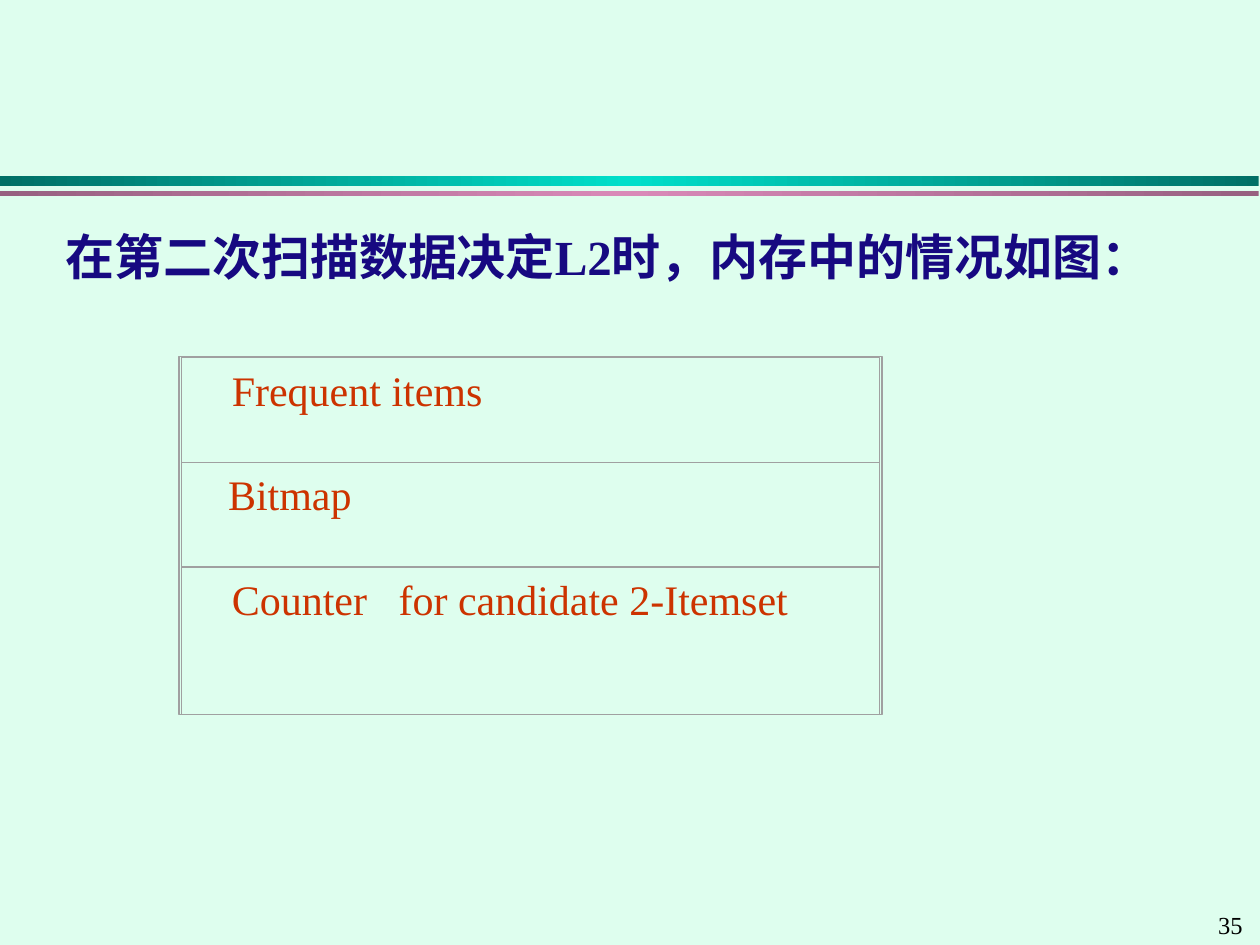
from copy import deepcopy
from dataclasses import dataclass

from pptx import Presentation
from pptx.dml.color import RGBColor
from pptx.enum import shapes, text
from pptx.oxml import ns, xmlchemy
from pptx.util import Inches, Pt


@dataclass(frozen=True)
class Theme:
    """Colours, font and type sizes of the slide."""
    font: str = "Times New Roman"
    background: RGBColor = RGBColor(0xDE, 0xFE, 0xEE)
    teal: tuple = (RGBColor(0x00, 0x6F, 0x65), RGBColor(0x00, 0xDF, 0xCA))
    pink: tuple = (RGBColor(0x97, 0x60, 0x80), RGBColor(0xD9, 0x89, 0xB8))
    heading: RGBColor = RGBColor(0x17, 0x09, 0x81)
    label: RGBColor = RGBColor(0xCC, 0x33, 0x00)
    border: RGBColor = RGBColor(0xA0, 0xA0, 0xA0)
    number: RGBColor = RGBColor(0, 0, 0)
    heading_size: Pt = Pt(28)
    label_size: Pt = Pt(24)
    number_size: Pt = Pt(14)


THEME = Theme()
MEMORY_ROWS = [
    ("Frequent items", 0.83, 0.4),
    ("Bitmap", 0.83, 0.37),
    ("Counter   for candidate 2-Itemset", 1.17, 0.4),
]


def style(paragraph, size, color, bold=False):
    """Set the font of a paragraph."""
    font = paragraph.font
    font.name, font.size, font.bold = THEME.font, size, bold
    font.color.rgb = color


def add_box(slide, left, top, width, height):
    """Add a rectangle without shadow, with lengths in inches."""
    box = slide.shapes.add_shape(
        shapes.MSO_SHAPE.RECTANGLE, Inches(left), Inches(top), Inches(width), Inches(height))
    box.shadow.inherit = False
    return box


def add_band(slide, left, top, width, height, colors):
    """Draw a bar that runs from an edge colour to a middle colour and back."""
    band = add_box(slide, left, top, width, height)
    band.line.fill.background()
    band.fill.gradient()
    band.fill.gradient_angle = 0
    stop_list = next(band._element.iter(ns.qn("a:gsLst")))
    stop_list.append(deepcopy(stop_list[0]))
    edge, middle = colors
    for stop, color, position in zip(band.fill.gradient_stops, (edge, middle, edge), (0, 0.5, 1)):
        stop.color.rgb, stop.position = color, position


def add_heading(slide, left, top, width, height):
    """Place the sentence in the body placeholder."""
    body = slide.placeholders[1]
    body.left, body.top, body.width, body.height = map(Inches, (left, top, width, height))
    sentence = body.text_frame.paragraphs[0]
    sentence.text = "在第二次扫描数据决定L2时，内存中的情况如图："
    sentence.alignment = text.PP_ALIGN.JUSTIFY
    sentence.space_before = Pt(7)
    style(sentence, THEME.heading_size, THEME.heading, bold=True)
    properties = sentence._p.get_or_add_pPr()
    properties.set("marL", str(Inches(0.38)))
    properties.set("indent", str(-Inches(0.38)))
    properties.insert_element_before(
        xmlchemy.OxmlElement("a:buNone"), "a:tabLst", "a:defRPr", "a:extLst")


def outline(box, width):
    """Give a box a grey border and no fill."""
    box.fill.background()
    box.line.color.rgb, box.line.width = THEME.border, width


def add_memory_map(slide, left, top, width, rows):
    """Stack the memory regions inside an outer frame."""
    row_top = top
    for label, height, inset in rows:
        region = add_box(slide, left, row_top, width, height)
        outline(region, Pt(0))
        frame = region.text_frame
        frame.word_wrap = True
        frame.vertical_anchor = text.MSO_ANCHOR.TOP
        frame.margin_left = Inches(inset)
        caption = frame.paragraphs[0]
        caption.text = label
        caption.alignment = text.PP_ALIGN.JUSTIFY
        style(caption, THEME.label_size, THEME.label)
        row_top += height
    border = add_box(slide, left - 0.02, top - 0.01, width + 0.04, row_top - top + 0.01)
    outline(border, Pt(0.88))


def add_page_number(slide, left, top, width, height):
    """Write the page number in the corner."""
    corner = slide.shapes.add_textbox(*map(Inches, (left, top, width, height)))
    corner.text_frame.word_wrap = True
    number = corner.text_frame.paragraphs[0]
    number.text = "35"
    style(number, THEME.number_size, THEME.number)


def main():
    """Build and save the slide."""
    deck = Presentation()
    deck.slide_width, deck.slide_height = Inches(10), Inches(7.5)
    slide = deck.slides.add_slide(deck.slide_layouts[1])
    slide.background.fill.solid()
    slide.background.fill.fore_color.rgb = THEME.background
    title = slide.shapes.title._element
    title.getparent().remove(title)
    add_band(slide, 0, 1.4, 9.99, 0.08, THEME.teal)
    add_band(slide, 0, 1.52, 9.99, 0.04, THEME.pink)
    add_page_number(slide, 9.57, 7.17, 0.43, 0.34)
    add_heading(slide, 0.42, 1.75, 9.17, 5.25)
    add_memory_map(slide, 1.44, 2.84, 5.54, MEMORY_ROWS)
    deck.save("out.pptx")


if __name__ == "__main__":
    main()
